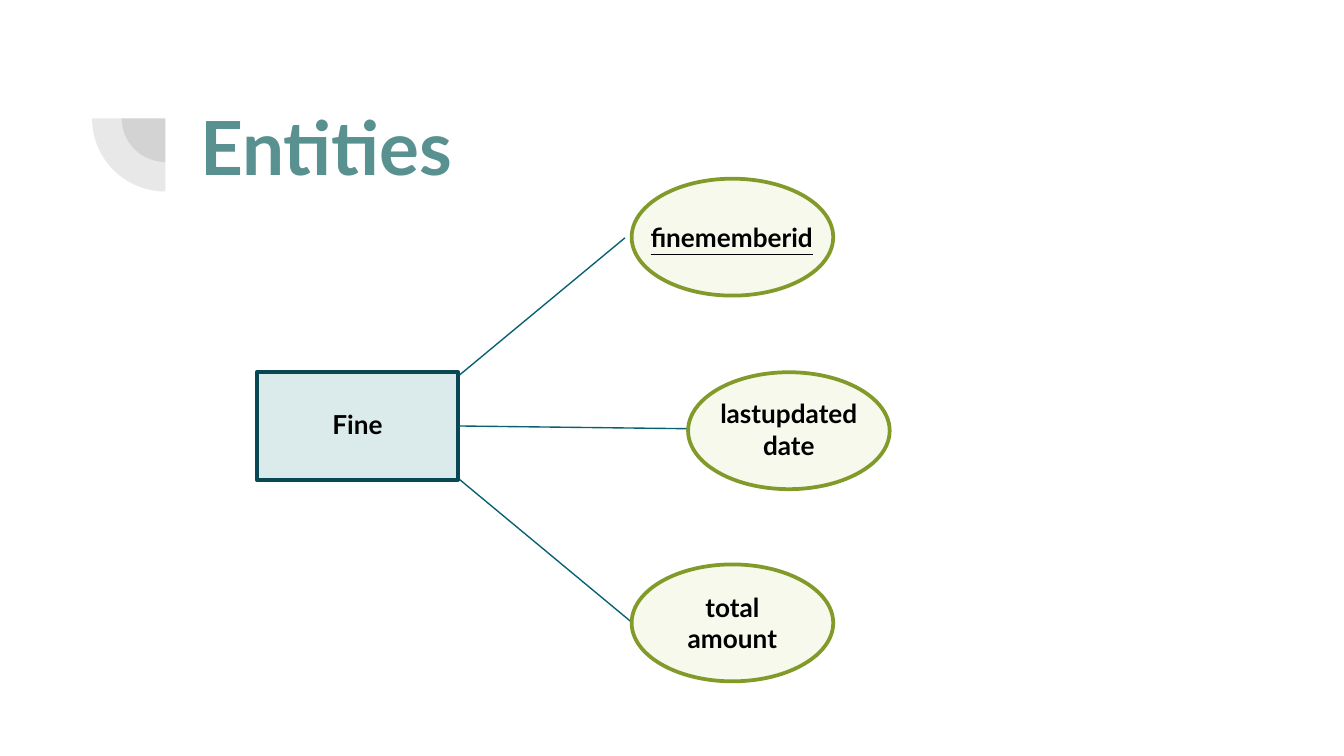
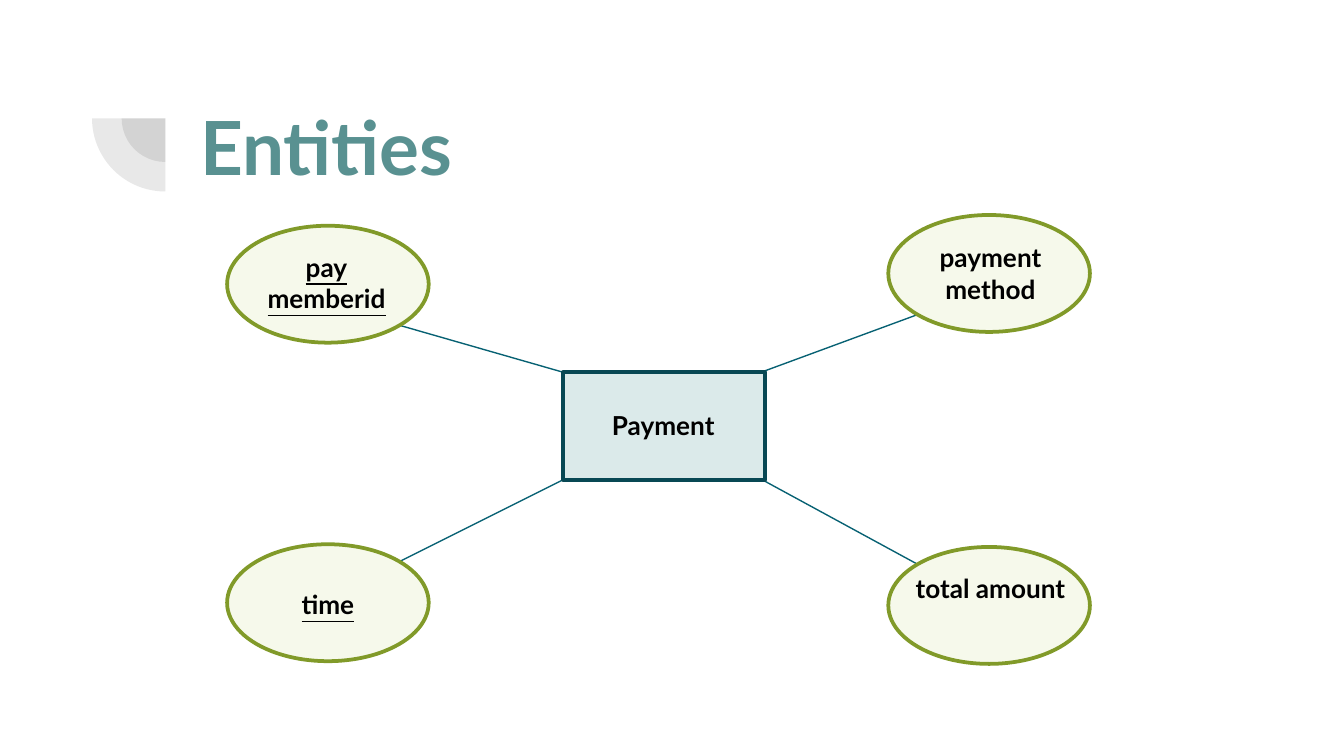
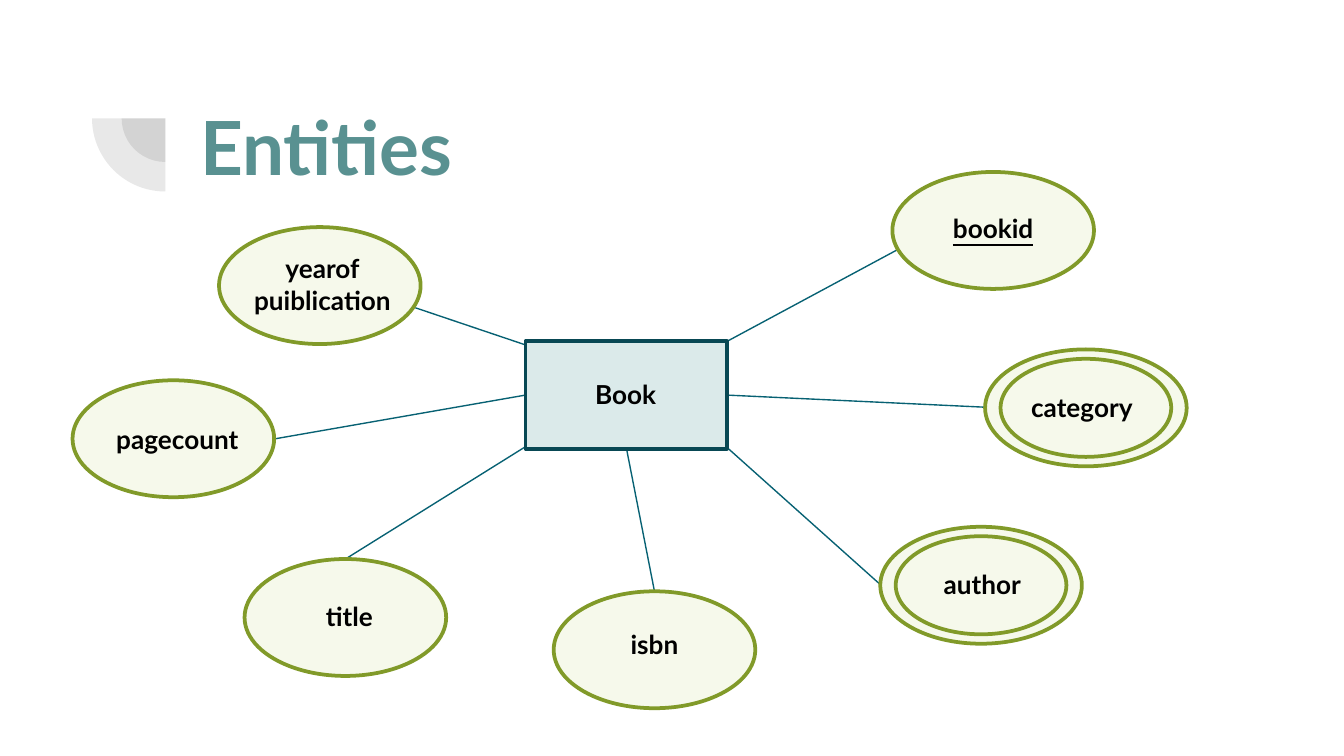
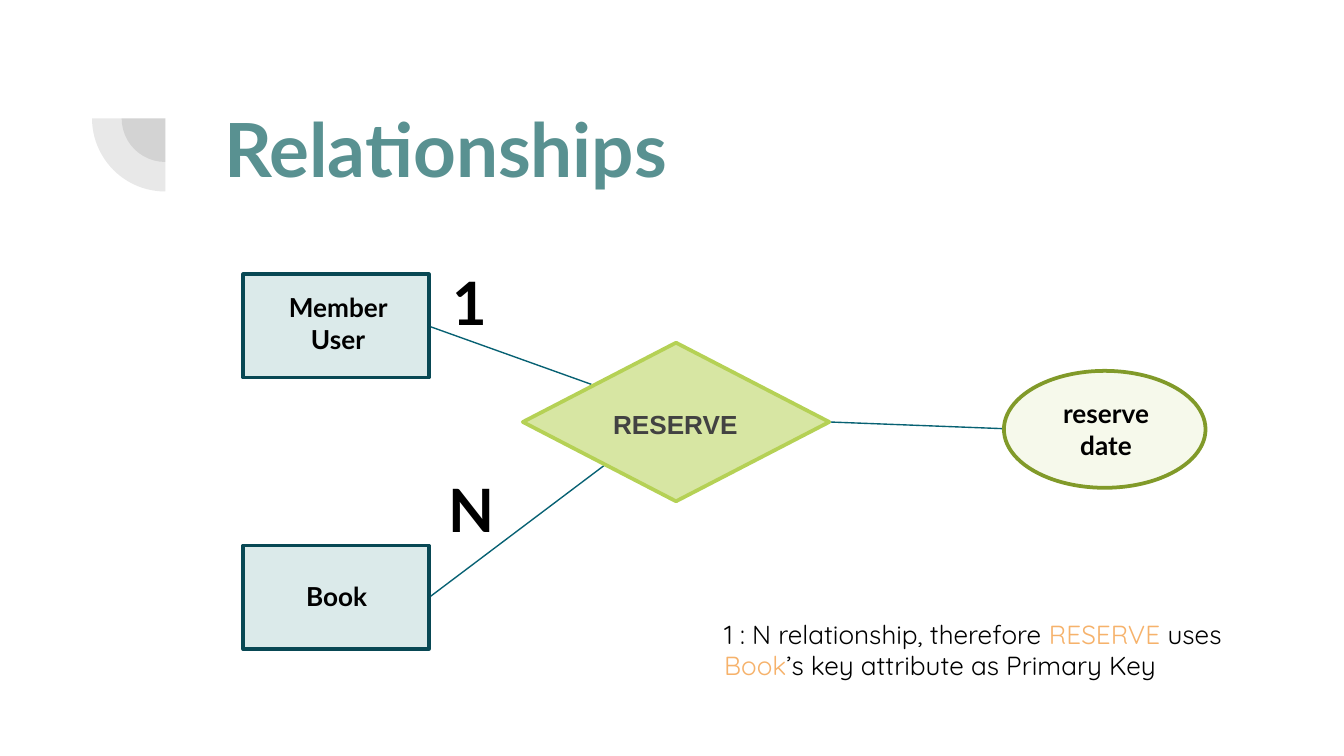
from dataclasses import dataclass, field
from typing import NamedTuple

from lxml.etree import SubElement
from pptx import Presentation
from pptx.dml.color import RGBColor
from pptx.enum.shapes import MSO_CONNECTOR, MSO_SHAPE
from pptx.enum.text import MSO_AUTO_SIZE, PP_ALIGN
from pptx.oxml.ns import qn
from pptx.util import Inches, Pt

# Slide size, 16:9
SLIDE_WIDTH = Inches(10)
SLIDE_HEIGHT = SLIDE_WIDTH * 9 // 16

# Colours
BLACK = RGBColor(0x00, 0x00, 0x00)
GREY = RGBColor(0x42, 0x42, 0x42)
TITLE_TEAL = RGBColor(0x59, 0x91, 0x91)
LINK_TEAL = RGBColor(0x07, 0x61, 0x73)
ENTITY_FILL = RGBColor(0xDB, 0xEA, 0xEA)
ENTITY_LINE = RGBColor(0x08, 0x48, 0x54)
ATTRIBUTE_FILL = RGBColor(0xF6, 0xF9, 0xEB)
ATTRIBUTE_LINE = RGBColor(0x81, 0x9A, 0x29)
RELATION_FILL = RGBColor(0xD7, 0xE6, 0xA3)
RELATION_LINE = RGBColor(0xB5, 0xD1, 0x55)
ORANGE = RGBColor(0xF6, 0xB2, 0x6B)

# Text formats
LABEL = {"name": "Lato", "size": Pt(14), "bold": True, "color": BLACK}
KEY_LABEL = LABEL | {"underline": True}
RELATION_LABEL = LABEL | {"name": "Arial", "color": GREY}
TITLE = LABEL | {"size": Pt(40), "color": TITLE_TEAL}
CARDINALITY = LABEL | {"size": Pt(32)}
NOTE = {"name": "Quicksand", "size": Pt(14), "color": BLACK}
NOTE_ACCENT = NOTE | {"color": ORANGE}


class Box(NamedTuple):
    left: float
    top: float
    width: float
    height: float


class Run(NamedTuple):
    text: str
    style: dict


class Link(NamedTuple):
    start: tuple[float, float]
    end: tuple[float, float]


class Kind(NamedTuple):
    """Outline, size and colours of one sort of diagram node."""
    preset: MSO_SHAPE
    width: float
    height: float
    fill: RGBColor
    line: RGBColor


ENTITY = Kind(MSO_SHAPE.RECTANGLE, 1.5, 0.8, ENTITY_FILL, ENTITY_LINE)
SMALL_ENTITY = ENTITY._replace(width=1.38, height=0.77)
ATTRIBUTE = Kind(MSO_SHAPE.OVAL, 1.5, 0.87, ATTRIBUTE_FILL, ATTRIBUTE_LINE)
INNER_RING = ATTRIBUTE._replace(width=1.27, height=0.73)
RELATION = Kind(MSO_SHAPE.DIAMOND, 2.28, 1.18, RELATION_FILL, RELATION_LINE)


@dataclass
class Node:
    """A diagram shape with a label box placed over it."""
    kind: Kind
    left: float
    top: float
    lines: list[str]
    label_left: float
    label_top: float
    label_width: float = 1.4
    style: dict = field(default_factory=lambda: LABEL)
    multivalued: bool = False
    rows: int = 0


@dataclass
class Diagram:
    title: str
    title_box: Box
    nodes: list[Node]
    links: list[Link]


def add_text(slide, box: Box, paragraphs: list[list[Run]],
             alignment: PP_ALIGN = PP_ALIGN.CENTER, margin: float = 0.05) -> None:
    frame = slide.shapes.add_textbox(*map(Inches, box)).text_frame
    frame_format = {"word_wrap": True, "auto_size": MSO_AUTO_SIZE.SHAPE_TO_FIT_TEXT,
                    "margin_top": Inches(margin), "margin_bottom": Inches(margin)}
    for name, value in frame_format.items():
        setattr(frame, name, value)
    for index, runs in enumerate(paragraphs):
        paragraph = frame.add_paragraph() if index else frame.paragraphs[0]
        paragraph.alignment = alignment
        for text, style in runs:
            run = paragraph.add_run()
            run.text = text
            for name, value in style.items():
                if name == "color":
                    run.font.color.rgb = value
                else:
                    setattr(run.font, name, value)


def add_filled(slide, preset: MSO_SHAPE, box: Box, fill: RGBColor):
    shape = slide.shapes.add_shape(preset, *map(Inches, box))
    shape.shadow.inherit = False
    shape.fill.solid()
    shape.fill.fore_color.rgb = fill
    return shape


def add_outline(slide, kind: Kind, left: float, top: float) -> None:
    box = Box(left, top, kind.width, kind.height)
    shape = add_filled(slide, kind.preset, box, kind.fill)
    shape.line.color.rgb = kind.line
    shape.line.width = Pt(2)


def add_node(slide, node: Node) -> None:
    add_outline(slide, node.kind, node.left, node.top)
    if node.multivalued:
        add_outline(slide, INNER_RING,
                    node.left + (node.kind.width - INNER_RING.width) / 2,
                    node.top + (node.kind.height - INNER_RING.height) / 2)
    rows = node.rows or len(node.lines)
    box = Box(node.label_left, node.label_top, node.label_width, 0.11 + 0.23 * rows)
    add_text(slide, box, [[Run(line, node.style)] for line in node.lines])


def add_link(slide, link: Link) -> None:
    connector = slide.shapes.add_connector(
        MSO_CONNECTOR.STRAIGHT, *map(Inches, link.start + link.end))
    connector.line.color.rgb = LINK_TEAL
    connector.line.width = Pt(0.75)
    SubElement(connector._element.spPr, qn("a:effectLst"))


def add_corner_mark(slide) -> None:
    """Two translucent quarter discs around one centre."""
    centre_x, centre_y = 1.23, 0.88
    for size in (0.65, 1.09):
        box = Box(centre_x - size / 2, centre_y - size / 2, size, size)
        shape = add_filled(slide, MSO_SHAPE.PIE, box, GREY)
        shape.adjustments[0], shape.adjustments[1] = 108, 162
        shape.rotation = 270
        shape.line.fill.background()
        colour = shape._element.spPr.find(qn("a:solidFill"))[0]
        SubElement(colour, qn("a:alpha"), val="12000")


def add_diagram(presentation, diagram: Diagram):
    slide = presentation.slides.add_slide(presentation.slide_layouts[6])
    add_corner_mark(slide)
    add_text(slide, diagram.title_box, [[Run(diagram.title, TITLE)]])
    for link in diagram.links:
        add_link(slide, link)
    for node in diagram.nodes:
        add_node(slide, node)
    return slide


# Slide contents
ENTITIES_BOX = Box(1.25, 0.7, 2.36, 0.77)

fine = Diagram(
    "Entities", ENTITIES_BOX,
    [
        Node(ENTITY, 1.91, 2.77, ["Fine"], 1.85, 2.99, 1.62),
        Node(ATTRIBUTE, 4.7, 1.33, ["finememberid"], 4.65, 1.6, 1.59, KEY_LABEL),
        Node(ATTRIBUTE, 4.7, 4.2, ["total", "amount"], 4.7, 4.35, 1.5),
        Node(ATTRIBUTE, 5.12, 2.77, ["lastupdated", "date"], 5.12, 2.91, 1.5),
    ],
    [
        Link((3.42, 2.79), (4.65, 1.77)),
        Link((3.41, 3.56), (4.7, 4.63)),
        Link((3.42, 3.17), (5.11, 3.19)),
    ],
)

payment = Diagram(
    "Entities", ENTITIES_BOX,
    [
        Node(ENTITY, 4.19, 2.77, ["Payment"], 4.37, 3, 1.13),
        Node(ATTRIBUTE, 1.69, 1.68, ["pay", "memberid"], 1.73, 1.82, style=KEY_LABEL),
        Node(ATTRIBUTE, 6.61, 4.07, ["total amount"], 6.67, 4.21, rows=2),
        Node(ATTRIBUTE, 1.69, 4.05, ["time"], 1.74, 4.33, style=KEY_LABEL),
        Node(ATTRIBUTE, 6.61, 1.6, ["payment", "method"], 6.67, 1.75),
    ],
    [
        Link((4.19, 2.77), (2.97, 2.42)),
        Link((5.69, 3.58), (6.83, 4.2)),
        Link((4.19, 3.57), (2.97, 4.18)),
        Link((5.69, 2.76), (6.83, 2.34)),
    ],
)

book = Diagram(
    "Entities", ENTITIES_BOX,
    [
        Node(ENTITY, 3.91, 2.54, ["Book"], 4.15, 2.77, 1.01),
        Node(ATTRIBUTE, 6.64, 1.28, ["bookid"], 6.69, 1.53, style=KEY_LABEL),
        Node(ATTRIBUTE, 4.12, 4.4, ["isbn"], 4.17, 4.63),
        Node(ATTRIBUTE, 1.82, 4.16, ["title"], 1.9, 4.42),
        Node(ATTRIBUTE, 0.54, 2.83, ["pagecount"], 0.62, 3.1),
        Node(ATTRIBUTE, 1.63, 1.69, ["yearof", "puiblication"], 1.7, 1.83),
        Node(ATTRIBUTE, 6.55, 3.92, ["author"], 6.61, 4.18, multivalued=True),
        Node(ATTRIBUTE, 7.33, 2.6, ["category"], 7.35, 2.86, multivalued=True),
    ],
    [
        Link((5.41, 2.54), (7.25, 1.55)),
        Link((4.66, 3.33), (4.87, 4.4)),
        Link((3.9, 3.33), (2.57, 4.16)),
        Link((3.91, 2.94), (2.02, 3.27)),
        Link((3.92, 2.57), (3.09, 2.29)),
        Link((5.41, 3.33), (6.55, 4.35)),
        Link((5.41, 2.94), (7.33, 3.03)),
    ],
)

reserve = Diagram(
    "Relationships", Box(1.34, 0.72, 3.95, 0.77),
    [
        Node(RELATION, 3.89, 2.55, ["RESERVE"], 4.4, 2.99, 1.25, RELATION_LABEL),
        Node(ATTRIBUTE, 7.47, 2.76, ["reserve", "date"], 7.53, 2.91),
        Node(SMALL_ENTITY, 1.81, 2.04, ["Member User"], 2.01, 2.12, 1.01, rows=2),
        Node(SMALL_ENTITY, 1.81, 4.06, ["Book"], 2, 4.27, 1.01),
    ],
    [
        Link((6.17, 3.14), (7.47, 3.19)),
        Link((3.2, 2.43), (4.4, 2.86)),
        Link((3.2, 4.44), (4.5, 3.46)),
    ],
)

# Build the presentation
presentation = Presentation()
presentation.slide_width = SLIDE_WIDTH
presentation.slide_height = SLIDE_HEIGHT

for entity_diagram in (fine, payment, book):
    add_diagram(presentation, entity_diagram)

# The relationship slide also has cardinalities and a note
relationship_slide = add_diagram(presentation, reserve)
for text, left, top in (("1", 3.27, 1.93), ("N", 3.24, 3.47)):
    add_text(relationship_slide, Box(left, top, 0.53, 0.64),
             [[Run(text, CARDINALITY)]], PP_ALIGN.LEFT)
note = [
    Run("1 : N relationship, therefore ", NOTE),
    Run("RESERVE ", NOTE_ACCENT),
    Run("uses ", NOTE),
    Run("Book", NOTE_ACCENT),
    Run("’s key attribute as Primary Key", NOTE),
]
add_text(relationship_slide, Box(5.29, 4.5, 4.22, 0.67), [note], PP_ALIGN.LEFT, margin=0.1)

presentation.save("out.pptx")
